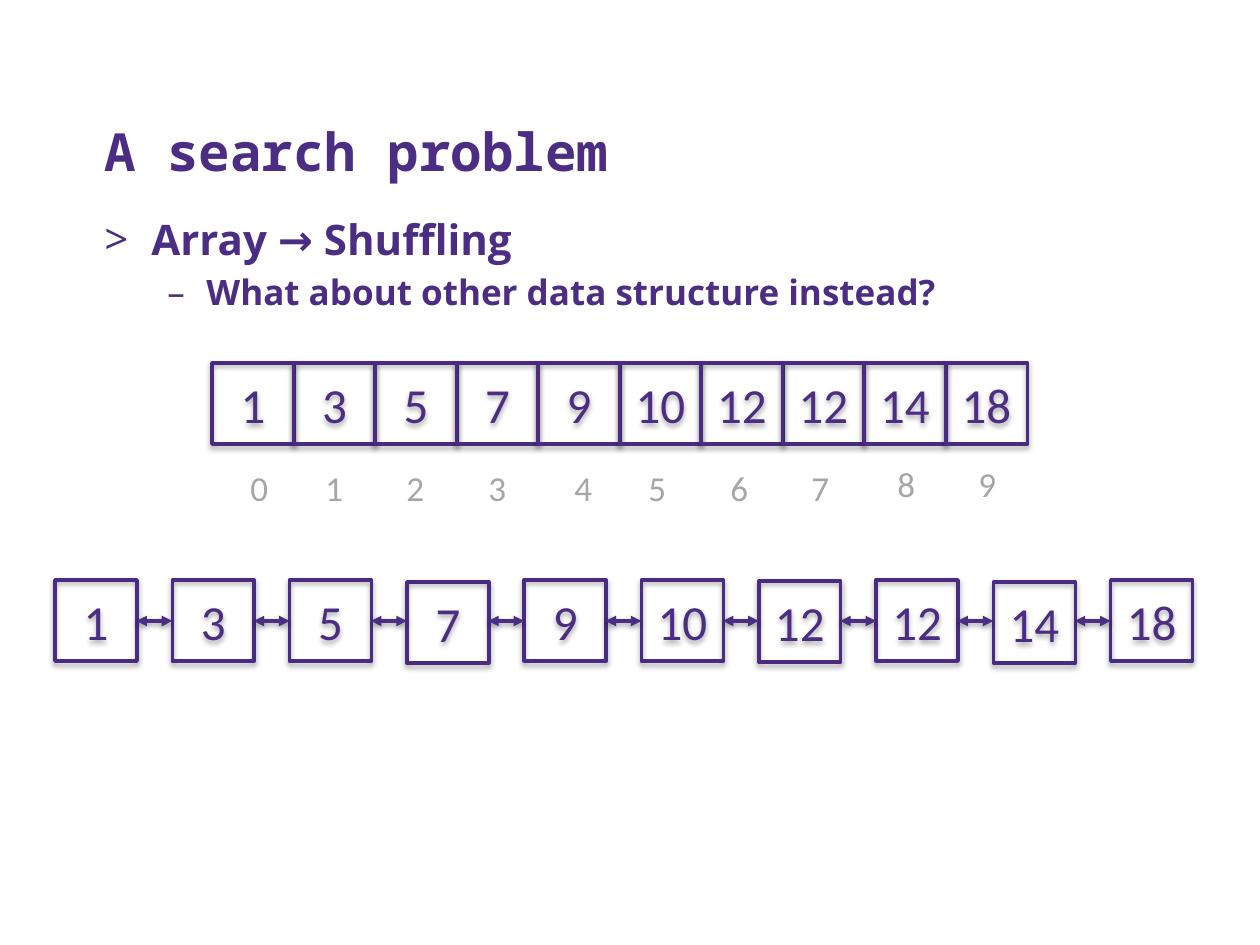
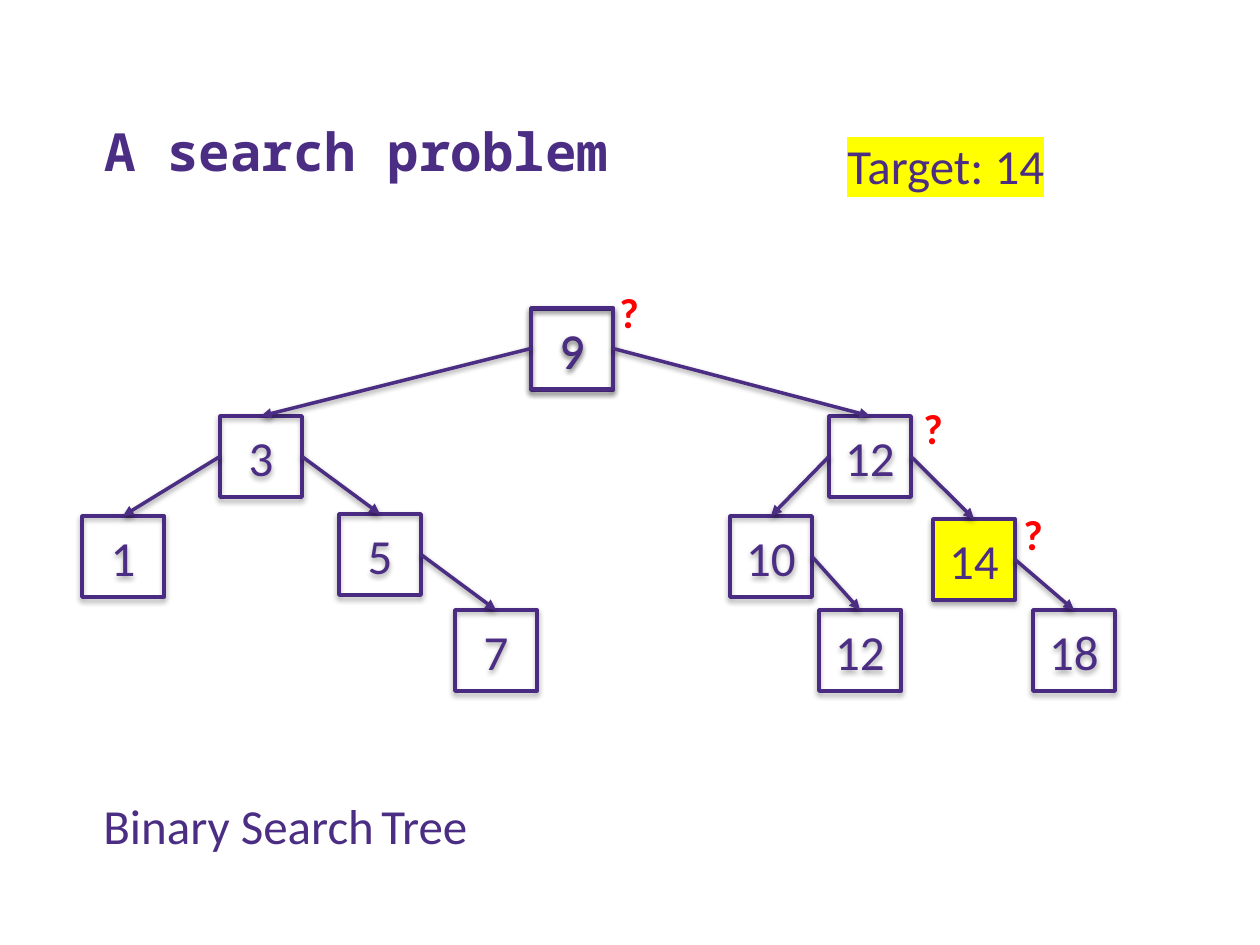
from lxml import etree
from pptx import Presentation, util as u
from pptx.dml.color import RGBColor
from pptx.enum import shapes, text
from pptx.oxml import ns

# Shared style
PURPLE = RGBColor(0x4B, 0x2E, 0x83)
EDGE = RGBColor(0x49, 0x2B, 0x82)
GREY = RGBColor(0xA6, 0xA6, 0xA6)
YELLOW = RGBColor(0xFF, 0xFF, 0x00)
RED = RGBColor(0xFF, 0x00, 0x00)
BLACK = RGBColor(0, 0, 0)
SANS, MONO, PLAIN = "Open Sans", "Noto Sans Mono", "Calibri"
SCALE = 914400 / 126  # EMU per px
WIDE, HIGH = 82, 81  # size of a number box
VALUES = [1, 3, 5, 7, 9, 10, 12, 12, 14, 18]


def px(n):
    return u.Emu(round(n * SCALE))


def node(parent, tag, **attrs):
    return etree.SubElement(parent, ns.qn(tag), {k: str(v) for k, v in attrs.items()})


def shade(item, alpha, dist):
    """Cast a soft shadow straight down."""
    fx = node(item._element.spPr, "a:effectLst")
    cast = node(fx, "a:outerShdw", blurRad=40000, dist=dist, dir=5400000, rotWithShape=0)
    node(node(cast, "a:srgbClr", val=BLACK), "a:alpha", val=alpha * 1000)


def put(para, words, size=28, face=PLAIN, color=PURPLE, bold=False, align=None,
        mark=None, inset=0, hang=0, before=None, light=None):
    """Write words into a paragraph with the given format."""
    if mark:
        props = para._p.get_or_add_pPr()
        props.set("marL", str(px(inset)))
        props.set("indent", str(-px(hang)))
        node(props, "a:buFont", typeface=SANS)
        node(props, "a:buChar", char=mark)
    if before:
        para.space_before = u.Pt(before)
    para.alignment = align
    run = para.add_run()
    run.text = words
    font = run.font
    font.size, font.name, font.bold = u.Pt(size), face, bold
    font.color.rgb = color
    if light:
        rpr = run._r.get_or_add_rPr()
        glow = node(rpr, "a:highlight")
        node(glow, "a:srgbClr", val=light)
        rpr.find(ns.qn("a:solidFill")).addnext(glow)


class Deck:
    def __init__(self):
        self.prs = Presentation()
        self.prs.slide_width, self.prs.slide_height = px(1260), px(945)
        self.slide = None

    def page(self, title):
        self.slide = self.prs.slides.add_slide(self.prs.slide_layouts[6])
        frame = self.frame(92, 52, 1128, 136)
        frame.vertical_anchor = text.MSO_ANCHOR.BOTTOM
        put(frame.paragraphs[0], title, size=30, face=MONO, bold=True)

    def frame(self, x, y, w, h):
        frame = self.slide.shapes.add_textbox(px(x), px(y), px(w), px(h)).text_frame
        frame.word_wrap = True
        return frame

    def label(self, words, x, y, w, h, **fmt):
        frame = self.frame(x, y, w, h)
        frame.word_wrap = False
        frame.auto_size = text.MSO_AUTO_SIZE.SHAPE_TO_FIT_TEXT
        put(frame.paragraphs[0], words, **fmt)

    def box(self, value, x, y, fill=None):
        box = self.slide.shapes.add_shape(
            shapes.MSO_SHAPE.RECTANGLE, px(x), px(y), px(WIDE), px(HIGH))
        if fill:
            box.fill.solid()
            box.fill.fore_color.rgb = fill
        else:
            box.fill.background()
        box.line.color.rgb = EDGE
        box.line.width = u.Pt(2)
        shade(box, 35, 23000)
        box.text_frame.vertical_anchor = text.MSO_ANCHOR.MIDDLE
        put(box.text_frame.paragraphs[0], str(value), align=text.PP_ALIGN.CENTER)

    def arrow(self, x1, y1, x2, y2, both=False):
        line = self.slide.shapes.add_connector(
            shapes.MSO_CONNECTOR.STRAIGHT, px(x1), px(y1), px(x2), px(y2))
        line.line.color.rgb = PURPLE
        line.line.width = u.Pt(2)
        ln = line.line._get_or_add_ln()
        if both:
            node(ln, "a:headEnd", type="triangle")
        node(ln, "a:tailEnd", type="triangle")
        shade(line, 38, 20000)


def lists(deck):
    deck.page("A search problem")
    body = deck.frame(92, 207, 1129, 553)
    put(body.paragraphs[0], "Array → Shuffling", size=24, face=SANS, bold=True,
        mark=">", inset=47, hang=47)
    put(body.add_paragraph(), "What about other data structure instead?", size=20,
        face=SANS, bold=True, mark="–", inset=102, hang=39, before=4)

    # Array with its indices
    for i, value in enumerate(VALUES):
        deck.box(value, 212 + i * 81.5, 363)
    lefts = [238, 313, 394, 476, 562, 636, 718, 799, 885, 966]
    for i, x in enumerate(lefts):
        deck.label(str(i), x, 460 if i < 8 else 456, 42, 55, size=20, color=GREY)

    # Doubly linked list
    gap = 36
    tops = [580, 580, 580, 582, 580, 580, 581, 580, 582, 580]
    for i, (value, top) in enumerate(zip(VALUES, tops)):
        x = 55 + i * 117.3
        deck.box(value, x, top)
        if i:
            deck.arrow(x - gap, 621, x, 621, both=True)


def tree(deck):
    deck.page("A search problem")
    # Nodes: name, value, parent, left, top
    nodes = [
        ("root", 9, None, 531, 308),
        ("l", 3, "root", 220, 416),
        ("r", 12, "root", 829, 416),
        ("ll", 1, "l", 82, 516),
        ("lr", 5, "l", 339, 514),
        ("lrr", 7, "lr", 455, 610),
        ("rl", 10, "r", 730, 516),
        ("rlr", 12, "rl", 819, 610),
        ("rr", 14, "r", 933, 519),
        ("rrr", 18, "rr", 1033, 610),
    ]
    spots = {}
    deck.box(9, 531, 309)  # doubled root looks heavier
    for name, value, parent, x, y in nodes:
        spots[name] = x, y
        deck.box(value, x, y, fill=YELLOW if value == 14 else None)
        if parent:
            px0, py0 = spots[parent]
            side = px0 if x < px0 else px0 + WIDE
            deck.arrow(side, py0 + HIGH / 2, x + WIDE / 2, y)

    # Search steps and captions
    for x, y in [(607, 280), (911, 396), (1011, 502)]:
        deck.label("?", x, y, 45, 63, size=24, color=RED, bold=True)
    deck.label("Target: 14", 835, 129, 224, 72, light=YELLOW)
    deck.label("Binary Search", 91, 789, 299, 72)
    deck.label("Tree", 369, 789, 202, 72)


def main():
    deck = Deck()
    lists(deck)
    tree(deck)
    deck.prs.save("out.pptx")


if __name__ == "__main__":
    main()
